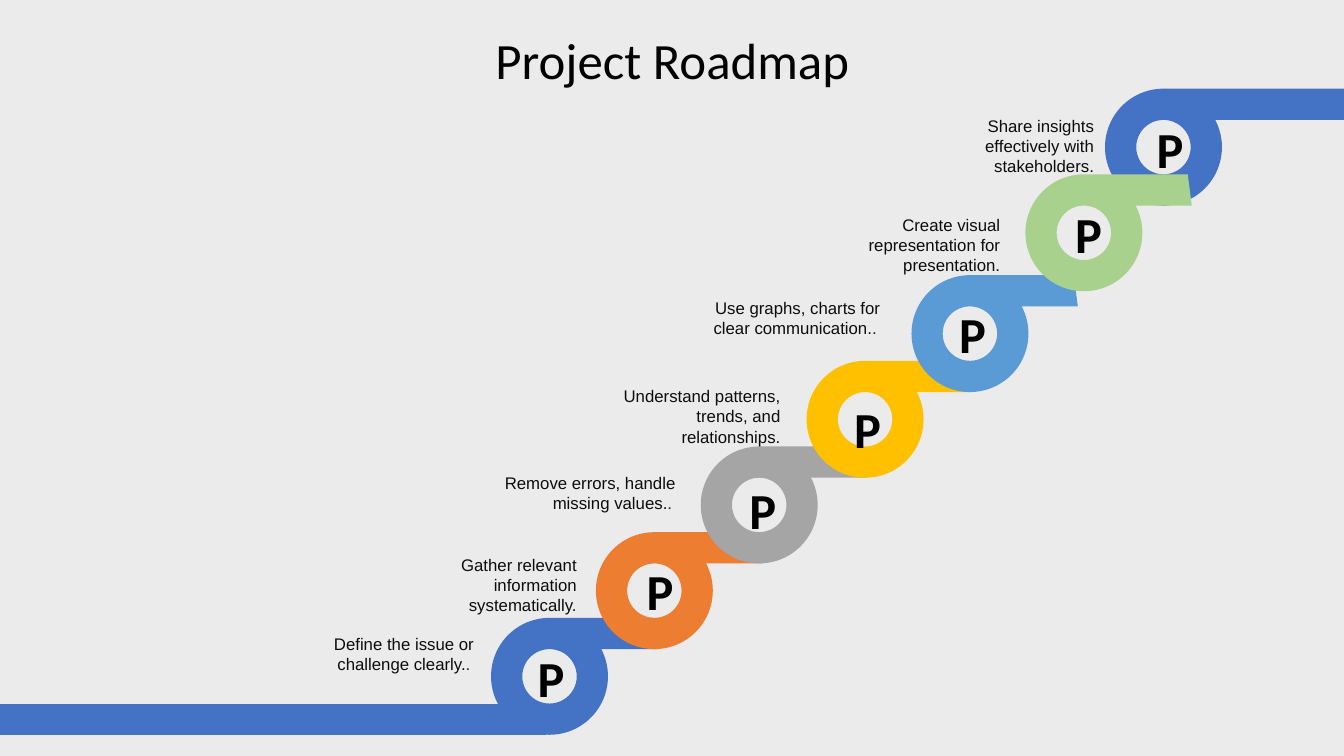
from dataclasses import dataclass
from math import asin, cos, degrees, radians, sin

from lxml.etree import SubElement
from pptx import Presentation
from pptx.dml.color import RGBColor
from pptx.enum.text import MSO_ANCHOR, MSO_AUTO_SIZE, PP_ALIGN
from pptx.oxml.ns import qn
from pptx.util import Inches, Pt

SLIDE_WIDTH, SLIDE_HEIGHT = 13.33, 7.5
OUTER_RADIUS, HOLE_RADIUS = 0.58, 0.27
BAND = 0.31
TAIL_TOP, TAIL_BOTTOM = 1.61, 1.65
BLUE = "4472C4"


@dataclass
class Step:
    """One stage of the roadmap with the places of its loop, letter and label."""
    color: str
    loop: tuple
    letter: tuple
    label: tuple
    words: str
    ending: str = ""
    last: bool = False


STEPS = [
    Step(BLUE, (4.87, 6.13), (5.14, 6.36), (2.77, 6.24),
         "Define the issue or challenge clearly.", ". "),
    Step("ED7D31", (5.91, 5.28), (6.22, 5.5), (3.79, 5.45),
         "Gather relevant information systematically."),
    Step("A5A5A5", (6.95, 4.43), (7.24, 4.69), (4.77, 4.64),
         "Remove errors, handle missing values.", ". "),
    Step("FFC000", (8, 3.58), (8.28, 3.89), (5.81, 3.78),
         "Understand patterns, trends, and relationships."),
    Step("5B9BD5", (9.04, 2.73), (9.32, 2.95), (6.8, 2.9),
         "Use graphs, charts for clear communication.", ". "),
    Step(BLUE, (10.96, 0.88), (11.28, 1.11), (8.92, 1.1),
         "Share insights effectively with stakeholders.", last=True),
    Step("A9D18E", (10.17, 1.73), (10.47, 1.95), (7.99, 2.08),
         "Create visual representation for presentation."),
]


def rgb(color):
    """Turn a hex string into a colour."""
    return RGBColor.from_string(color)


def add_outline(slide, contours, color):
    """Draw closed contours as one filled shape."""
    emu_contours = [[(Inches(x), Inches(y)) for x, y in c] for c in contours]
    builder = slide.shapes.build_freeform(*emu_contours[0][0])
    for index, points in enumerate(emu_contours):
        if index:
            builder.move_to(*points[0])
        builder.add_line_segments(points[1:], close=True)
    outline = builder.convert_to_shape()
    outline.shadow.inherit = False
    outline.fill.solid()
    outline.fill.fore_color.rgb = rgb(color)
    outline.line.fill.background()
    return outline


def circle_points(center, radius, angles):
    """List the points of a circle at the given clockwise angles."""
    x, y = center
    return [(x + radius * cos(radians(a)), y + radius * sin(radians(a)))
            for a in angles]


def bend(segment, radius, start, end):
    """Replace a straight segment with a circular arc."""
    size = str(Inches(radius))
    arc = SubElement(segment.getparent(), qn("a:arcTo"), wR=size, hR=size,
                     stAng=str(round(start % 360 * 60000)),
                     swAng=str(round((end - start) * 60000)))
    segment.getparent().replace(segment, arc)


def add_loop(slide, step):
    """Draw a ring whose top runs to the right as a tail."""
    left, top = step.loop
    center = left + OUTER_RADIUS, top + OUTER_RADIUS
    joint = -degrees(asin((OUTER_RADIUS - BAND) / OUTER_RADIUS))
    ring_angles = [270, 180, 90, joint]
    hole_angles = [0, 90, 180, 270, 360]
    tail_bottom = SLIDE_WIDTH if step.last else left + TAIL_BOTTOM
    tail_top = SLIDE_WIDTH if step.last else left + TAIL_TOP
    ring = circle_points(center, OUTER_RADIUS, ring_angles)
    ring += [(tail_bottom, top + BAND), (tail_top, top)]
    hole = circle_points(center, HOLE_RADIUS, hole_angles)
    loop = add_outline(slide, [ring, hole], step.color)

    segments = list(loop.element.iter(qn("a:lnTo")))
    ring_arcs = zip(segments[:3], ring_angles, ring_angles[1:])
    hole_arcs = zip(segments[-4:], hole_angles, hole_angles[1:])
    for radius, arcs in ((OUTER_RADIUS, ring_arcs), (HOLE_RADIUS, hole_arcs)):
        for segment, start, end in arcs:
            bend(segment, radius, start, end)


def add_text(slide, place, size, align):
    """Add a wrapping text box and return its frame and first paragraph."""
    box = slide.shapes.add_textbox(*map(Inches, (*place, *size)))
    frame = box.text_frame
    frame.word_wrap = True
    paragraph = frame.paragraphs[0]
    paragraph.alignment = align
    return frame, paragraph


def add_run(paragraph, text, size, font, color, bold=False):
    """Add one formatted run to a paragraph."""
    run = paragraph.add_run()
    run.text = text
    run.font.size = Pt(size)
    run.font.name = font
    run.font.bold = bold
    run.font.color.rgb = rgb(color)


def add_letter(slide, step):
    """Put the bold letter into the hole of a loop."""
    frame, paragraph = add_text(slide, step.letter, (0.65, 0.72), PP_ALIGN.CENTER)
    frame.vertical_anchor = MSO_ANCHOR.MIDDLE
    frame.auto_size = MSO_AUTO_SIZE.SHAPE_TO_FIT_TEXT
    frame.margin_left = frame.margin_right = Inches(0.06)
    frame.margin_top = frame.margin_bottom = Inches(0.06)
    add_run(paragraph, "P", 36, "Calibri", "000000", bold=True)


def add_label(slide, step):
    """Write the description to the left of a loop."""
    frame, paragraph = add_text(slide, step.label, (2.03, 0.5), PP_ALIGN.RIGHT)
    frame.auto_size = MSO_AUTO_SIZE.SHAPE_TO_FIT_TEXT
    paragraph.space_before = Pt(6)
    add_run(paragraph, step.words, 12, "Arial", "0D0D0D")
    if step.ending:
        add_run(paragraph, step.ending, 12, "Calibri", "263238")


def add_title(slide, text):
    """Write the slide title."""
    _, paragraph = add_text(slide, (0.92, 0.4), (11.5, 0.97), PP_ALIGN.CENTER)
    paragraph.line_spacing = 0.7
    add_run(paragraph, text, 36.3, "Calibri", "000000")


def main():
    """Build the roadmap slide and save it."""
    deck = Presentation()
    deck.slide_width, deck.slide_height = Inches(SLIDE_WIDTH), Inches(SLIDE_HEIGHT)
    slide = deck.slides.add_slide(deck.slide_layouts[6])
    slide.background.fill.solid()
    slide.background.fill.fore_color.rgb = rgb("EBEBEB")

    road_end, road_top = 5.42, 6.98
    road_bottom = road_top + BAND
    add_outline(slide, [[(0, road_top), (0, road_bottom),
                         (road_end, road_bottom), (road_end, road_top)]], BLUE)
    for add_part in (add_loop, add_letter, add_label):
        for step in STEPS:
            add_part(slide, step)
    add_title(slide, "Project Roadmap")
    deck.save("out.pptx")


if __name__ == "__main__":
    main()
